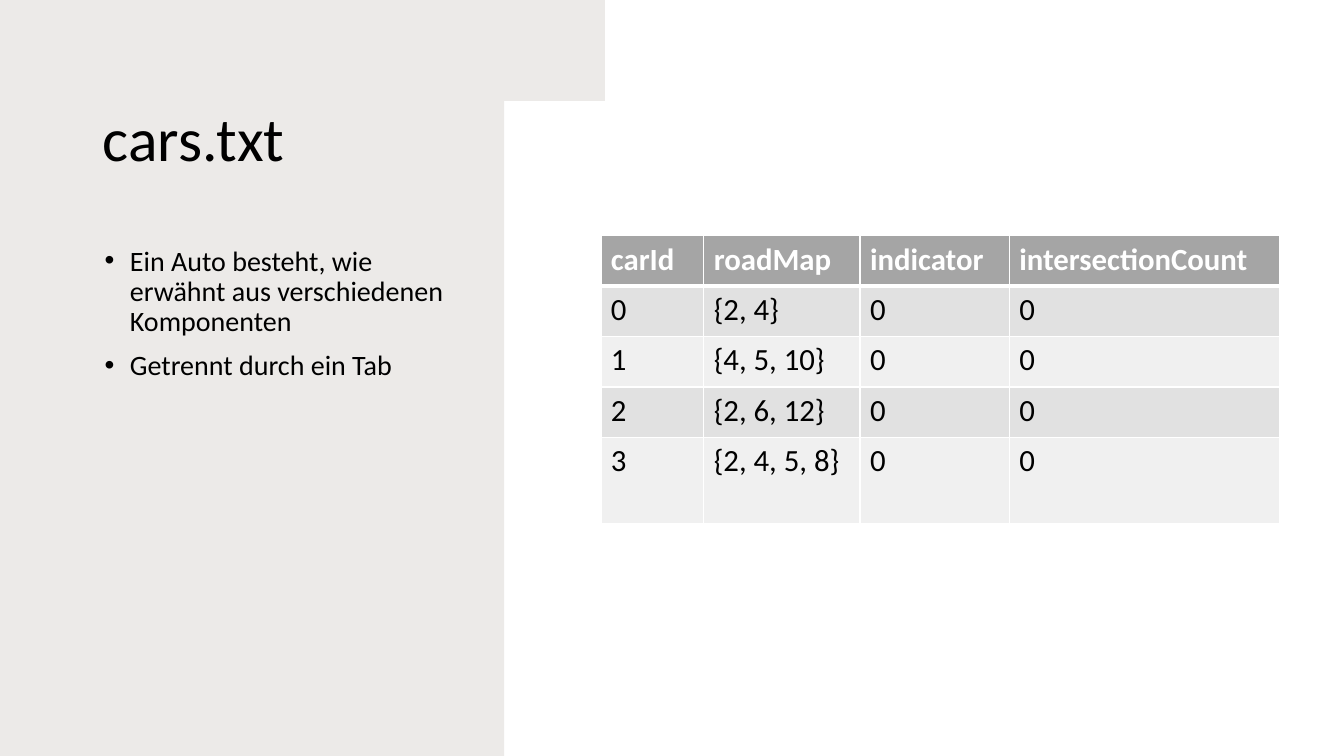
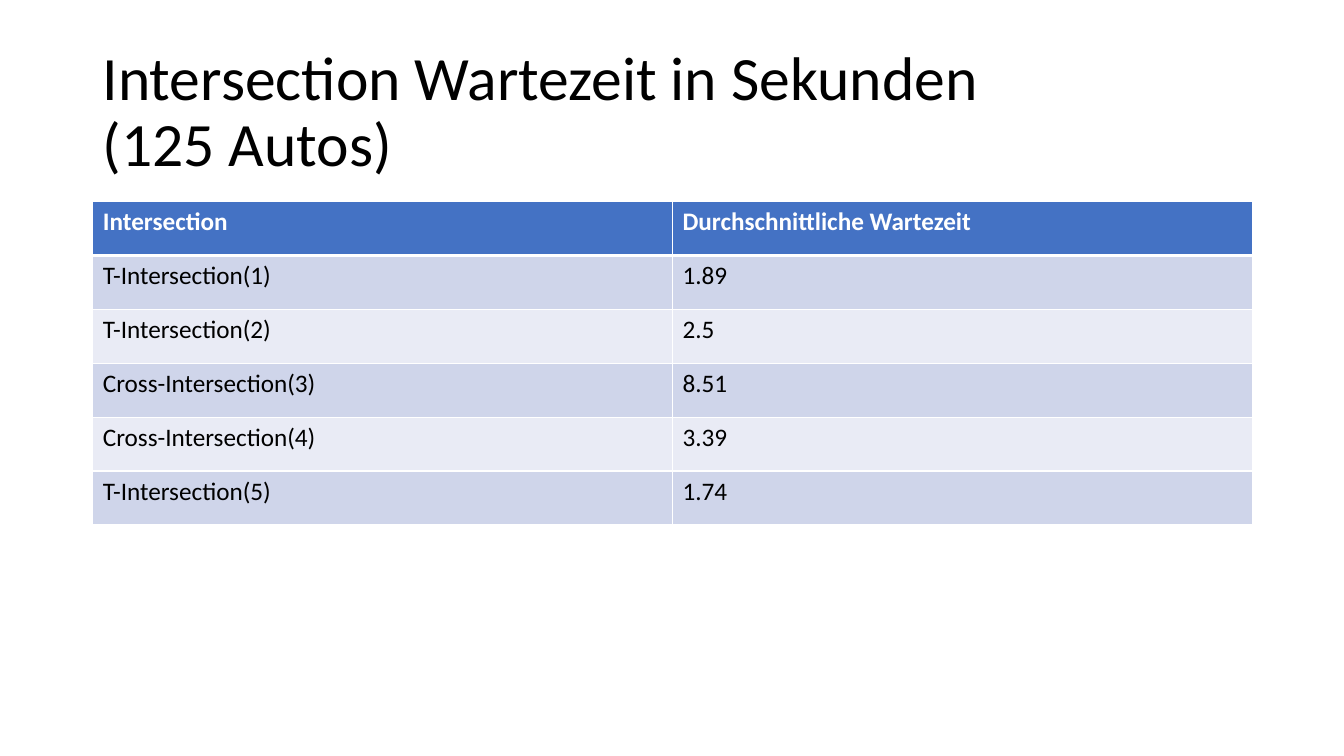
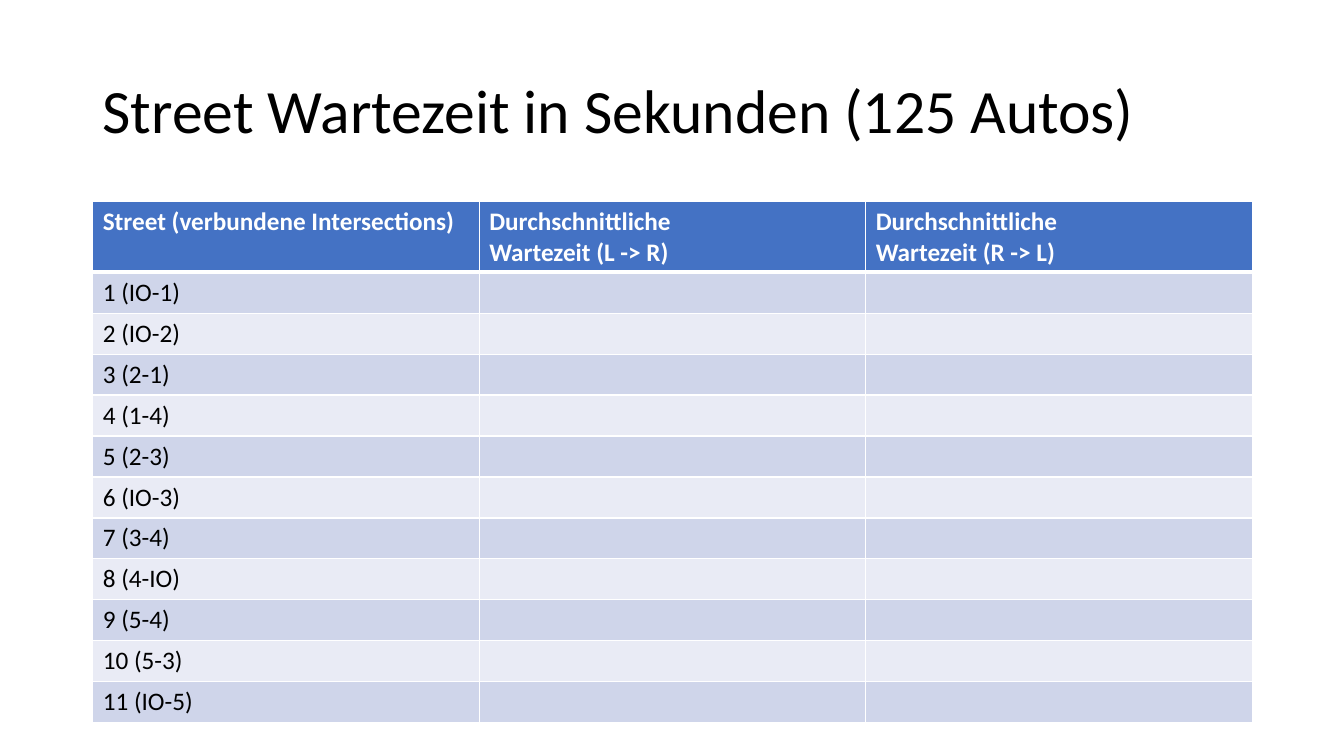
from dataclasses import dataclass

from lxml import etree
from pptx import Presentation
from pptx.dml.color import RGBColor
from pptx.enum.text import MSO_ANCHOR
from pptx.oxml.ns import qn
from pptx.util import Inches, Pt

MIDDLE = MSO_ANCHOR.MIDDLE
TOP = MSO_ANCHOR.TOP
FONT = "Calibri"
COLORS = {
    "text": "000000",
    "white": "FFFFFF",
    "paper": "82766A",
    "gray_head": "A5A5A5",
    "gray_dark": "E1E1E1",
    "gray_light": "F0F0F0",
    "blue_head": "4472C4",
    "blue_dark": "CFD5EA",
    "blue_light": "E9EBF5",
}
TITLE_BOX = (0.92, 0.4, 11.5, 1.45)
TORN_EDGE = [
    (5.65, 0), (5.61, 0.08), (5.62, 0.39), (5.6, 0.52), (5.62, 0.58),
    (5.61, 0.64), (5.59, 0.66), (5.55, 0.75), (5.52, 0.82), (5.49, 0.89),
    (5.47, 0.97), (5.41, 1.08), (5.38, 1.16), (5.38, 1.27), (5.36, 1.32),
    (5.36, 1.42), (5.33, 1.49), (5.3, 1.56), (5.28, 1.66), (5.29, 1.73),
    (5.28, 1.8), (5.26, 1.88), (5.26, 1.99), (5.24, 2.04), (5.26, 2.08),
    (5.24, 2.15), (5.2, 2.21), (5.19, 2.31), (5.18, 2.47), (5.13, 2.55),
    (5.09, 2.63), (5.07, 2.79), (5.04, 2.97), (5.06, 3.07), (5.05, 3.27),
    (5.09, 3.35), (5.07, 3.45), (5.09, 3.56), (5.13, 3.73), (5.14, 3.86),
    (5.16, 3.9), (5.17, 4.05), (5.21, 4.24), (5.2, 4.43), (5.16, 4.61),
    (5.17, 4.82), (5.14, 5.06), (5.13, 5.18), (5.11, 5.3), (5.09, 5.38),
    (5.04, 5.48), (5.03, 5.59), (5.05, 5.7), (5.07, 5.98), (5.07, 6.12),
    (5.04, 6.31), (5.04, 6.46), (5.06, 6.52), (5.05, 6.58), (5.06, 6.81),
    (5.09, 6.97), (5.11, 7.15), (5.14, 7.39), (5.16, 7.5), (6.18, 7.5),
]


@dataclass
class TableSpec:
    left: float
    top: float
    widths: list[float]
    heights: list[float]
    rows: list[list[str]]
    size: int
    palette: str


def rgb(name: str) -> RGBColor:
    return RGBColor.from_string(COLORS[name])


def write(p, text: str, size: int, color: str = "text", bold: bool = False) -> None:
    p.text = text
    for r in p.runs:
        for key, value in {"name": FONT, "size": Pt(size), "bold": bold}.items():
            setattr(r.font, key, value)
        r.font.color.rgb = rgb(color)


def add_text(s, box: tuple, lines: list[str], size: int, anchor=TOP, bullets: bool = False) -> None:
    tf = s.shapes.add_textbox(*map(Inches, box)).text_frame
    for key, value in {"word_wrap": True, "vertical_anchor": anchor}.items():
        setattr(tf, key, value)
    for i, line in enumerate(lines):
        p = tf.add_paragraph() if i else tf.paragraphs[0]
        write(p, line, size)
        p.line_spacing = 0.9
        if bullets:
            p.space_before = Pt(10)
            pPr = p._p.get_or_add_pPr()
            pPr.set("marL", str(Inches(0.25)))
            pPr.set("indent", str(Inches(-0.25)))
            etree.SubElement(pPr, qn("a:buFont"), typeface="Arial")
            etree.SubElement(pPr, qn("a:buChar"), char="•")


def add_title(s, text: str, box: tuple = TITLE_BOX) -> None:
    add_text(s, box, [text], 44, MIDDLE)


def set_borders(cell, row: int) -> None:
    tcPr = cell._tc.get_or_add_tcPr()
    widths = {"L": 1, "R": 1, "T": 3 if row == 1 else 1, "B": 3 if row == 0 else 1}
    for side, width in widths.items():
        ln = etree.SubElement(tcPr, qn(f"a:ln{side}"), w=str(Pt(width)))
        fill = etree.SubElement(ln, qn("a:solidFill"))
        etree.SubElement(fill, qn("a:srgbClr"), val=COLORS["white"])


def add_grid(s, spec: TableSpec) -> None:
    box = (spec.left, spec.top, sum(spec.widths), sum(spec.heights))
    table = s.shapes.add_table(len(spec.rows), len(spec.widths), *map(Inches, box)).table
    for column, width in zip(table.columns, spec.widths):
        column.width = Inches(width)
    for i, (row, height) in enumerate(zip(spec.rows, spec.heights)):
        table.rows[i].height = Inches(height)
        shade = "head" if i == 0 else "dark" if i % 2 else "light"
        for j, text in enumerate(row):
            cell = table.cell(i, j)
            set_borders(cell, i)
            cell.fill.solid()
            cell.fill.fore_color.rgb = rgb(f"{spec.palette}_{shade}")
            if text:
                write(cell.text_frame.paragraphs[0], text, spec.size,
                      "text" if i else "white", i == 0)


def add_torn_paper(s) -> None:
    builder = s.shapes.build_freeform(0, 0, scale=Inches(1))
    builder.add_line_segments(TORN_EDGE + [(0, 7.5)], close=True)
    paper = builder.convert_to_shape()
    paper.shadow.inherit = False
    paper.line.fill.background()
    paper.fill.solid()
    paper.fill.fore_color.rgb = rgb("paper")
    color = paper._element.spPr.find(qn("a:solidFill")).find(qn("a:srgbClr"))
    etree.SubElement(color, qn("a:alpha"), val="15000")


def cars_slide(s) -> None:
    add_torn_paper(s)
    add_title(s, "cars.txt", (0.92, 0.67, 4.09, 1.46))
    add_text(s, (0.94, 2.4, 3.75, 4.27), [
        "Ein Auto besteht, wie erwähnt aus verschiedenen Komponenten",
        "Getrennt durch ein Tab",
    ], 20, bullets=True)
    road_maps = ["{2, 4}", "{4, 5, 10}", "{2, 6, 12}", "{2, 4, 5, 8}"]
    rows = [["carId", "roadMap", "indicator", "intersectionCount"]]
    rows += [[str(i), road_map, "0", "0"] for i, road_map in enumerate(road_maps)]
    add_grid(s, TableSpec(5.96, 2.34, [1.02, 1.55, 1.48, 2.68],
                          [0.5] * 4 + [0.85], rows, 22, "gray"))


def intersection_slide(s) -> None:
    add_title(s, "Intersection Wartezeit in Sekunden\v(125 Autos)")
    rows = [
        ["Intersection", "Durchschnittliche Wartezeit"],
        ["T-Intersection(1)", "1.89"],
        ["T-Intersection(2)", "2.5"],
        ["Cross-Intersection(3)", "8.51"],
        ["Cross-Intersection(4)", "3.39"],
        ["T-Intersection(5)", "1.74"],
    ]
    add_grid(s, TableSpec(0.92, 2, [11.5 / 2] * 2, [3.21 / 6] * 6, rows, 18, "blue"))


def street_slide(s) -> None:
    add_title(s, "Street Wartezeit in Sekunden (125 Autos)")
    links = ["IO-1", "IO-2", "2-1", "1-4", "2-3", "IO-3", "3-4", "4-IO", "5-4", "5-3", "IO-5"]
    directions = ["L -> R", "R -> L"]
    rows = [["Street (verbundene Intersections)"]
            + [f"Durchschnittliche\vWartezeit ({d})" for d in directions]]
    rows += [[f"{i} ({link})", "", ""] for i, link in enumerate(links, 1)]
    heights = [0.69] + [4.47 / len(links)] * len(links)
    add_grid(s, TableSpec(0.92, 2, [11.5 / 3] * 3, heights, rows, 18, "blue"))


def main() -> None:
    prs = Presentation()
    prs.slide_width, prs.slide_height = Inches(13.33), Inches(7.5)
    for build in (cars_slide, intersection_slide, street_slide):
        build(prs.slides.add_slide(prs.slide_layouts[6]))
    prs.save("out.pptx")


if __name__ == "__main__":
    main()
